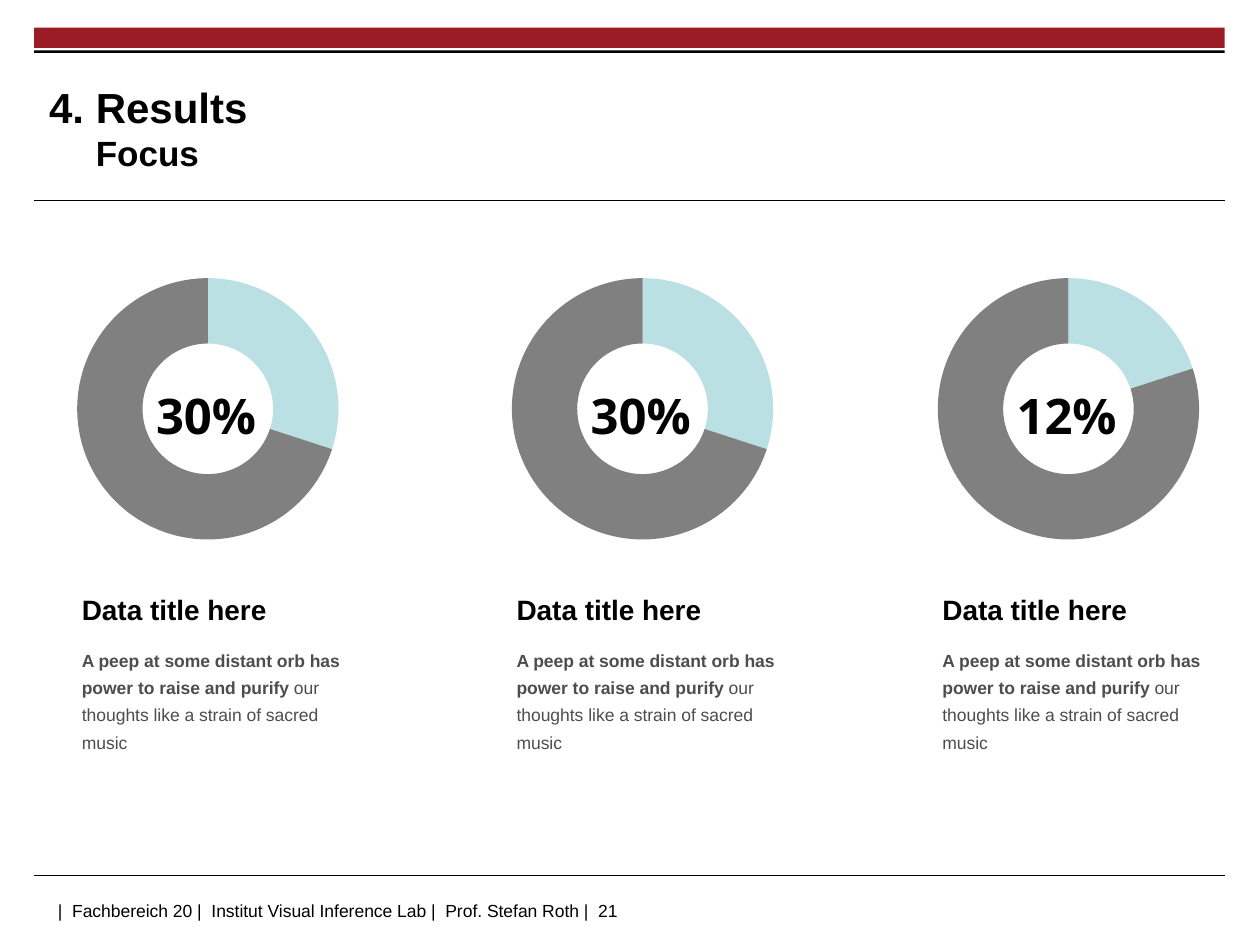
from pptx import Presentation
from pptx.chart.data import CategoryChartData
from pptx.dml.color import RGBColor
from pptx.enum.chart import XL_CHART_TYPE
from pptx.enum.shapes import MSO_CONNECTOR, MSO_SHAPE
from pptx.enum.text import MSO_ANCHOR, MSO_AUTO_SIZE, PP_ALIGN
from pptx.oxml.ns import qn
from pptx.util import Inches, Pt

DOUGHNUT = XL_CHART_TYPE.DOUGHNUT
STRAIGHT = MSO_CONNECTOR.STRAIGHT
RECTANGLE = MSO_SHAPE.RECTANGLE
MIDDLE = MSO_ANCHOR.MIDDLE
NO_AUTOFIT = MSO_AUTO_SIZE.NONE
LEFT, CENTER = PP_ALIGN.LEFT, PP_ALIGN.CENTER

BLACK = RGBColor(0x00, 0x00, 0x00)
RED = RGBColor(0x9C, 0x1C, 0x26)
AQUA = RGBColor(0xBB, 0xE0, 0xE3)
GRAY = RGBColor(0x80, 0x80, 0x80)
BODY_GRAY = RGBColor(0x4D, 0x4D, 0x4D)

TITLE, SUBTITLE = "4. Results", "Focus"
FOOTER = "|  Fachbereich 20 |  Institut Visual Inference Lab |  Prof. Stefan Roth |  21"
HEADING = "Data title here"
BOLD_TEXT = "A peep at some distant orb has power to raise and purify "
PLAIN_TEXT = "our thoughts like a strain of sacred music"
COLUMNS = [  # left edge, shown label, charted share
    (0.16, "30%", 30),
    (3.61, "30%", 30),
    (6.99, "12%", 20),
]

MARGIN, CONTENT_W = 0.27, 9.45
BARS = [(0.22, 0.16, RED), (0.4, 0.02, BLACK)]  # top, height, colour
RULES = [1.59, 6.95]
TITLE_INDENT = Inches(0.37)


def style(run, size, bold=False, color=BLACK, name="Arial"):
    font = run.font
    font.size, font.bold, font.name = Pt(size), bold, name
    font.color.rgb = color


def set_insets(tf, left, top, right, bottom):
    tf.margin_left, tf.margin_top = Inches(left), Inches(top)
    tf.margin_right, tf.margin_bottom = Inches(right), Inches(bottom)


def add_text(s, left, top, width, height, insets):
    tf = s.shapes.add_textbox(
        Inches(left), Inches(top), Inches(width), Inches(height)).text_frame
    tf.word_wrap = True
    set_insets(tf, *insets)
    return tf


def add_run(p, text, *args, **kwargs):
    r = p.add_run()
    r.text = text
    style(r, *args, **kwargs)


def add_frame(s):
    """Draw the header bars, the rules and the footer."""
    for top, height, color in BARS:
        bar = s.shapes.add_shape(RECTANGLE, Inches(MARGIN), Inches(top),
                                 Inches(CONTENT_W), Inches(height))
        bar.shadow.inherit = False
        bar.fill.solid()
        bar.fill.fore_color.rgb = color
        bar.line.fill.background()
    for y in RULES:
        rule = s.shapes.add_connector(STRAIGHT, Inches(MARGIN), Inches(y),
                                      Inches(MARGIN + CONTENT_W), Inches(y))
        rule.line.color.rgb = BLACK
        rule.line.width = Pt(0.6)
        sp_pr = rule._element.spPr
        sp_pr.append(sp_pr.makeelement(qn("a:effectLst"), {}))
    tf = add_text(s, 0.28, 7.1, 7.88, 0.25, (0.18, 0.05, 0.1, 0.05))
    tf.vertical_anchor = MIDDLE
    add_run(tf.paragraphs[0], FOOTER, 10)


def add_title(s):
    title = s.shapes.title
    title.left, title.top = Inches(0.39), Inches(0.55)
    title.width, title.height = Inches(7.26), Inches(0.92)
    tf = title.text_frame
    tf.auto_size = NO_AUTOFIT
    tf.vertical_anchor = MIDDLE
    set_insets(tf, 0, 0, 0, 0)
    p = tf.paragraphs[0]
    p.alignment = LEFT
    # A hanging indent sets the subtitle under the title's first word
    p_pr = p._p.get_or_add_pPr()
    p_pr.set("marL", str(TITLE_INDENT))
    p_pr.set("indent", str(-TITLE_INDENT))
    add_run(p, TITLE, 24, True)
    p.add_line_break()
    add_run(p, SUBTITLE, 20, True)


def add_ring(s, left, share):
    data = CategoryChartData()
    data.categories = ["1", "2"]
    data.add_series("Series 1", (share, 100 - share))
    chart = s.shapes.add_chart(DOUGHNUT, Inches(left), Inches(2.07),
                               Inches(2.98), Inches(2.35), data).chart
    chart.has_legend = chart.has_title = False
    chart.font.size, chart.font.name = Pt(10), "Arial"
    chart.font.color.rgb = BLACK
    plot = chart.plots[0]
    plot.vary_by_categories = True
    plot._element.find(qn("c:holeSize")).set("val", "80")
    for i, color in enumerate((AQUA, GRAY)):
        fmt = plot.series[0].points[i].format
        fmt.fill.solid()
        fmt.fill.fore_color.rgb = color
        fmt.line.fill.background()


def add_column(s, left, label, share):
    add_ring(s, left, share)

    tf = add_text(s, left + 0.84, 2.93, 1.27, 0.57, (0.1, 0, 0.1, 0.05))
    tf.vertical_anchor = MIDDLE
    p = tf.paragraphs[0]
    p.alignment, p.line_spacing = CENTER, 1.45
    add_run(p, label, 28, True, name="Open Sans")

    tf = add_text(s, left + 0.49, 4.58, 2.37, 1.44, (0, 0.04, 0.24, 0.04))
    heading, body = tf.paragraphs[0], tf.add_paragraph()
    heading.line_spacing = body.line_spacing = 1.3
    body.space_before = Pt(10)
    add_run(heading, HEADING, 16, True)
    add_run(body, BOLD_TEXT, 10, True, BODY_GRAY)
    add_run(body, PLAIN_TEXT, 10, False, BODY_GRAY)


def main():
    prs = Presentation()
    prs.slide_width, prs.slide_height = Inches(10), Inches(7.5)
    s = prs.slides.add_slide(prs.slide_layouts[5])
    add_frame(s)
    add_title(s)
    for column in COLUMNS:
        add_column(s, *column)
    prs.save("out.pptx")


if __name__ == "__main__":
    main()
